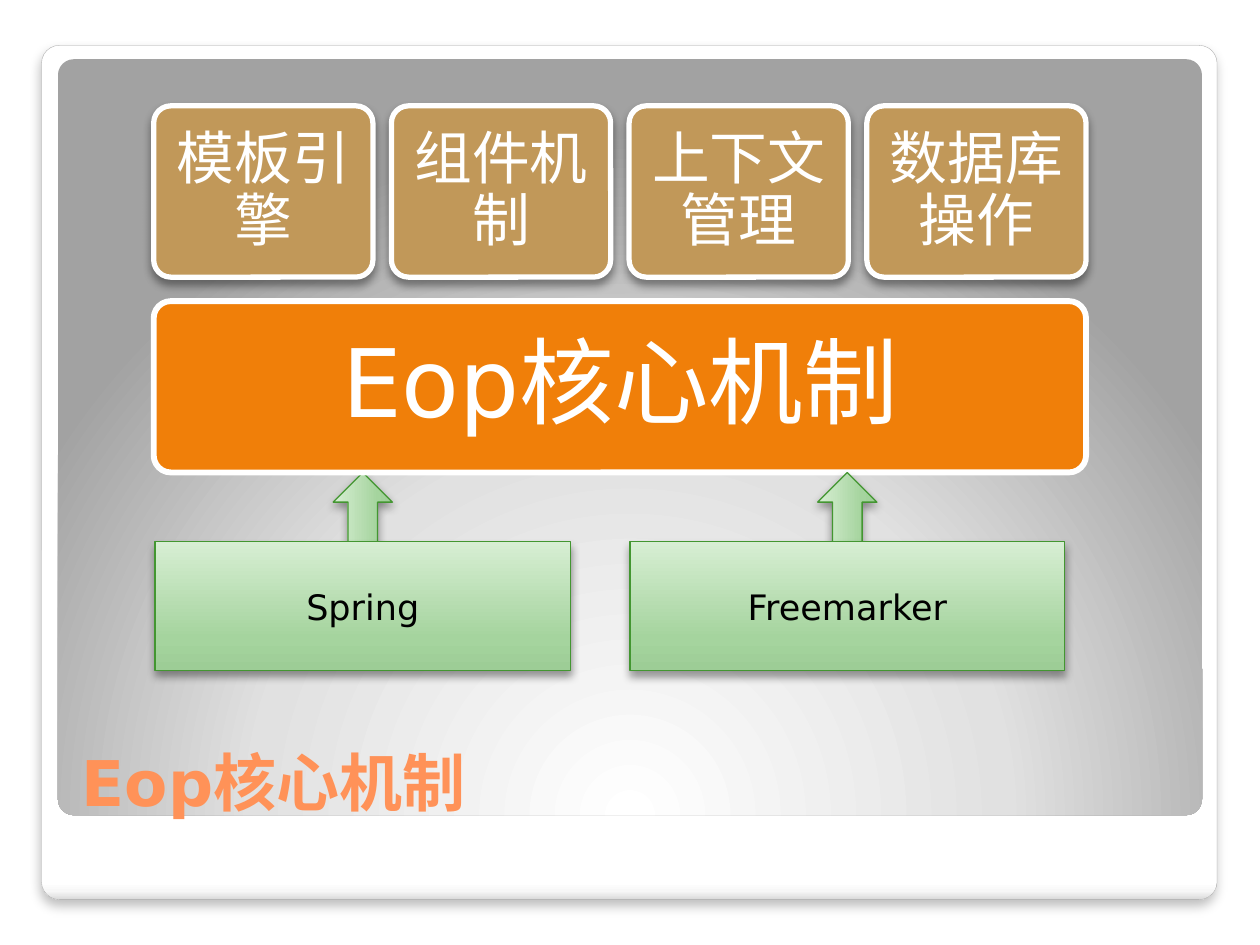
from dataclasses import dataclass

from lxml import etree
from pptx import Presentation
from pptx import util as u
from pptx.dml.color import RGBColor
from pptx.enum import shapes, text
from pptx.oxml import ns


@dataclass(frozen=True)
class Theme:
    font: str = "DejaVu Sans"
    white: str = "FFFFFF"
    black: str = "000000"
    title: str = "FF9258"
    core: str = "F07F09"
    module: str = "C19859"
    frame_line: str = "A4A4A4"
    library_line: str = "439631"
    frame_stops: tuple = ((0, "FFFFFF"), (98, "FFFFFF"), (99, "F7F7F7"), (100, "DADADA"))
    panel_stops: tuple = ((0, "FFFFFF"), (55, "E1E1E1"), (100, "A2A2A2"))
    library_stops: tuple = ((0, "9DCD96"), (25, "A5D49E"), (100, "D7EED3"))
    frame_shadow: tuple = (25, 6, 4)
    shadow: tuple = (40, 5.2, 3)
    title_size: int = 36
    core_size: int = 54
    module_size: int = 33
    library_size: int = 20


THEME = Theme()
SHAPE = shapes.MSO_SHAPE


def apply_format(target, values):
    for name, value in values.items():
        setattr(target, name, value)


def add_element(parent, tag, **attributes):
    element = etree.SubElement(parent, ns.qn(tag))
    for name, value in attributes.items():
        element.set(name, str(value))
    return element


def set_gradient(shape, stops, angle=None):
    shape.fill.gradient()
    gradient = shape.element.spPr.find(ns.qn("a:gradFill"))
    gradient.clear()
    gradient.set("rotWithShape", "1")
    stop_list = add_element(gradient, "a:gsLst")
    for position, color in stops:
        stop = add_element(stop_list, "a:gs", pos=position * 1000)
        add_element(stop, "a:srgbClr", val=color)
    if angle is None:
        focus = add_element(gradient, "a:path", path="circle")
        add_element(focus, "a:fillToRect", l=50000, t=175000, r=50000, b=-75000)
    else:
        add_element(gradient, "a:lin", ang=angle * 60000, scaled=0)


def set_shadow(shape, shadow):
    opacity, blur, distance = shadow
    effects = shape.element.spPr.find(ns.qn("a:effectLst"))
    outer = add_element(effects, "a:outerShdw", blurRad=int(u.Pt(blur)),
                        dist=int(u.Pt(distance)), dir=90 * 60000, rotWithShape=0)
    color = add_element(outer, "a:srgbClr", val=THEME.black)
    add_element(color, "a:alpha", val=opacity * 1000)


def add_block(slide, kind, box, fill, line=None, shadow=None, angle=None, corner=None):
    shape = slide.shapes.add_shape(kind, *map(u.Inches, box))
    shape.shadow.inherit = False
    if corner is not None:
        shape.adjustments[0] = corner
    if isinstance(fill, str):
        shape.fill.solid()
        shape.fill.fore_color.rgb = RGBColor.from_string(fill)
    else:
        set_gradient(shape, fill, angle)
    if line:
        color, width = line
        shape.line.color.rgb = RGBColor.from_string(color)
        shape.line.width = u.Pt(width)
    else:
        shape.line.fill.background()
    if shadow:
        set_shadow(shape, shadow)
    return shape


def write_text(shape, wording, size, color, bold=False, inset=0.1, spacing=1.0,
               alignment=text.PP_ALIGN.CENTER, anchor=text.MSO_ANCHOR.MIDDLE):
    frame = shape.text_frame
    margins = dict.fromkeys(("margin_left", "margin_right", "margin_top", "margin_bottom"),
                            u.Inches(inset))
    apply_format(frame, {"word_wrap": True, "auto_size": text.MSO_AUTO_SIZE.NONE,
                         "vertical_anchor": anchor, **margins})
    paragraph = frame.paragraphs[0]
    apply_format(paragraph, {"alignment": alignment, "line_spacing": spacing})
    run = paragraph.add_run()
    run.text = wording
    apply_format(run.font, {"name": THEME.font, "size": u.Pt(size), "bold": bold})
    run.font.color.rgb = RGBColor.from_string(color)


def add_background(slide, box):
    left, top, width, height = box
    add_block(slide, SHAPE.ROUNDED_RECTANGLE, box, THEME.frame_stops,
              (THEME.frame_line, 0.16), THEME.frame_shadow, 90, 0.021)
    panel = (left + 0.13, top + 0.11, width - 0.25, height - 0.78)
    add_block(slide, SHAPE.ROUNDED_RECTANGLE, panel, THEME.panel_stops, corner=0.021)


def add_title(slide, box, wording):
    title = slide.shapes.title
    apply_format(title, dict(zip(("left", "top", "width", "height"), map(u.Inches, box))))
    slide.shapes.element.append(title.element)
    write_text(title, wording, THEME.title_size, THEME.title, bold=True,
               alignment=text.PP_ALIGN.LEFT, anchor=text.MSO_ANCHOR.BOTTOM)


def add_core(slide, box, wording):
    core = add_block(slide, SHAPE.ROUNDED_RECTANGLE, box, THEME.core,
                     (THEME.white, 3.35), corner=0.1)
    write_text(core, wording, THEME.core_size, THEME.white, inset=0.23, spacing=0.9)


def add_modules(slide, box, names, module_width=1.74):
    left, top, width, height = box
    pitch = (width - module_width) / (len(names) - 1)
    for index, name in enumerate(names):
        place = (left + index * pitch, top, module_width, height)
        module = add_block(slide, SHAPE.ROUNDED_RECTANGLE, place, THEME.module,
                           (THEME.white, 3), THEME.shadow, corner=0.1)
        write_text(module, name, THEME.module_size, THEME.white, inset=0.14, spacing=0.9)


def add_library(slide, box, name, arrow_length=0.55, arrow_width=0.47):
    left, top, width, height = box
    style = {"fill": THEME.library_stops, "line": (THEME.library_line, 0.75),
             "shadow": THEME.shadow, "angle": 270}
    arrow_box = (left + (width - arrow_length) / 2,
                 top - (arrow_length + arrow_width) / 2, arrow_length, arrow_width)
    arrow = add_block(slide, SHAPE.RIGHT_ARROW, arrow_box, **style)
    arrow.rotation = 270
    library = add_block(slide, SHAPE.RECTANGLE, box, **style)
    write_text(library, name, THEME.library_size, THEME.black)


def main():
    presentation = Presentation()
    apply_format(presentation, {"slide_width": u.Inches(10), "slide_height": u.Inches(7.5)})
    slide = presentation.slides.add_slide(presentation.slide_layouts[5])
    add_background(slide, (0.33, 0.36, 9.33, 6.78))
    add_title(slide, (0.55, 5.45, 8.95, 1.15), "Eop核心机制")
    add_library(slide, (1.23, 4.3, 3.3, 1.02), "Spring")
    add_core(slide, (1.22, 2.39, 7.4, 1.36), "Eop核心机制")
    add_modules(slide, (1.22, 0.84, 7.4, 1.36),
                ("模板引擎", "组件机制", "上下文管理", "数据库操作"))
    add_library(slide, (5, 4.3, 3.45, 1.02), "Freemarker")
    presentation.save("out.pptx")


if __name__ == "__main__":
    main()
